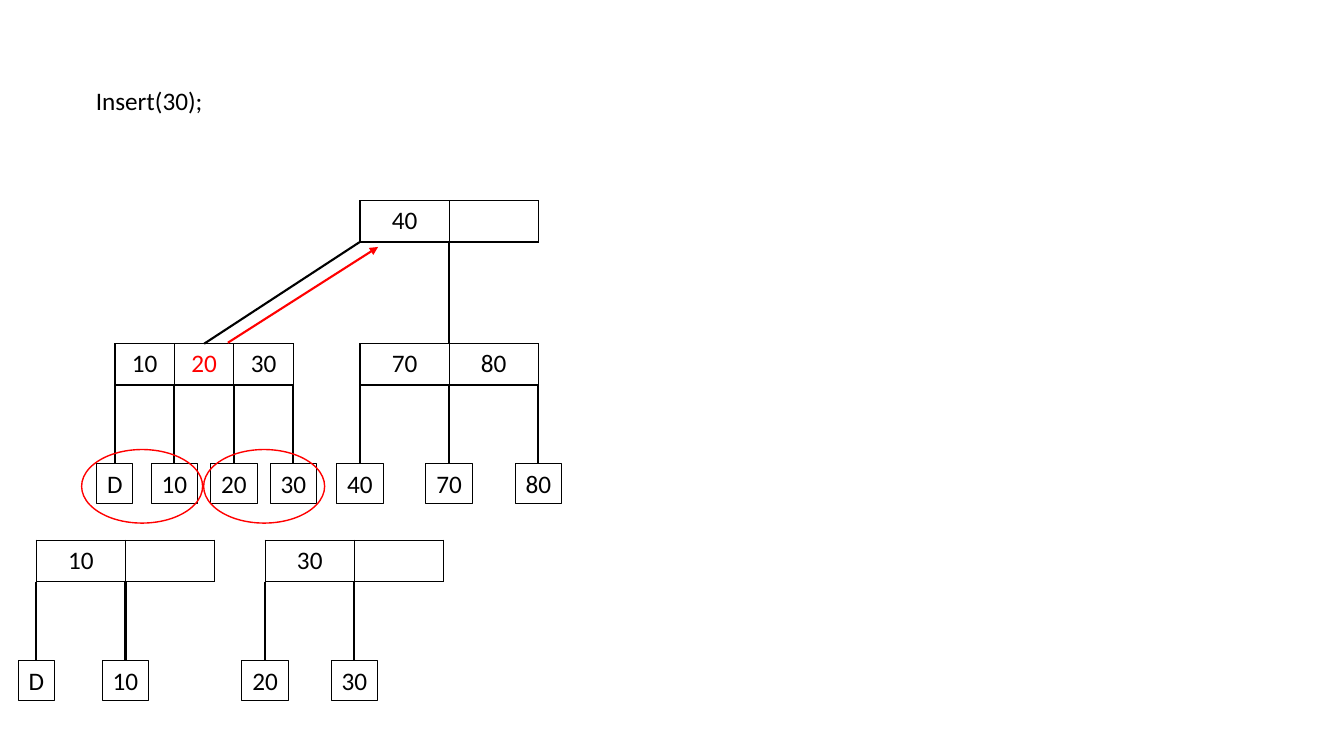
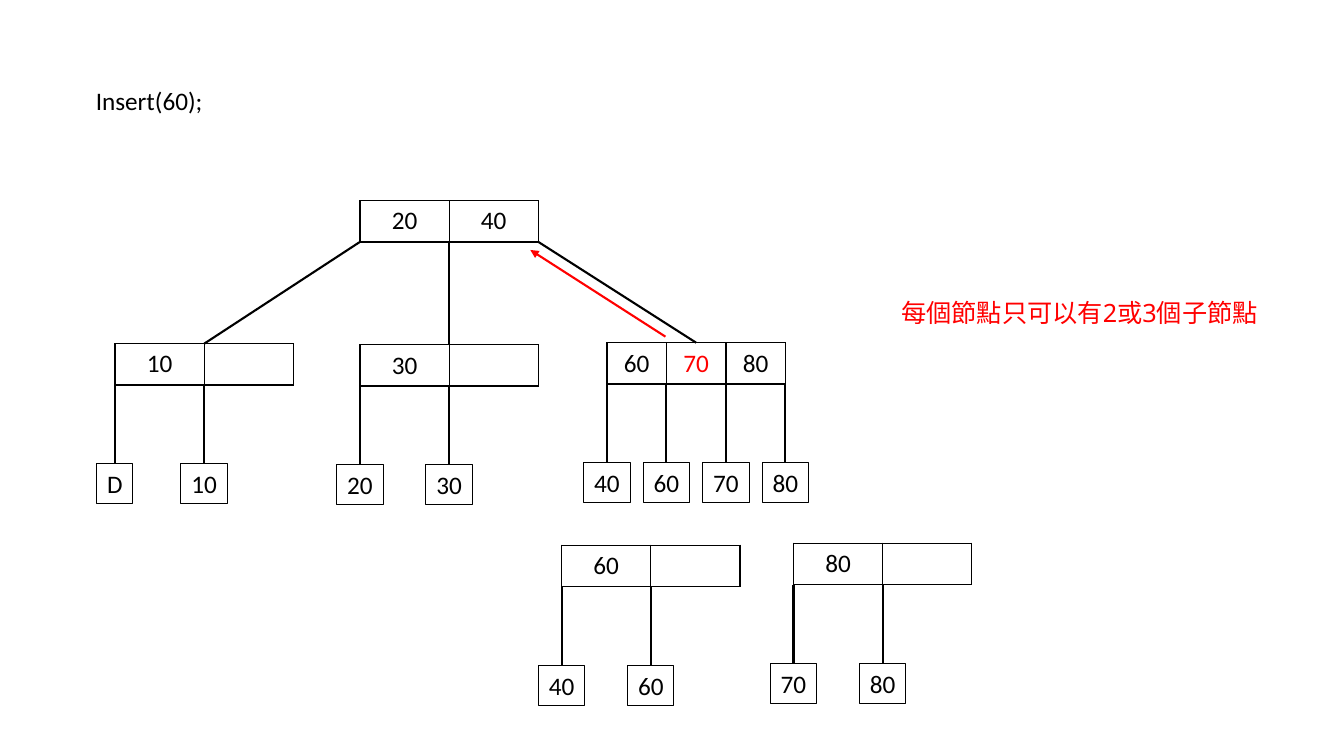
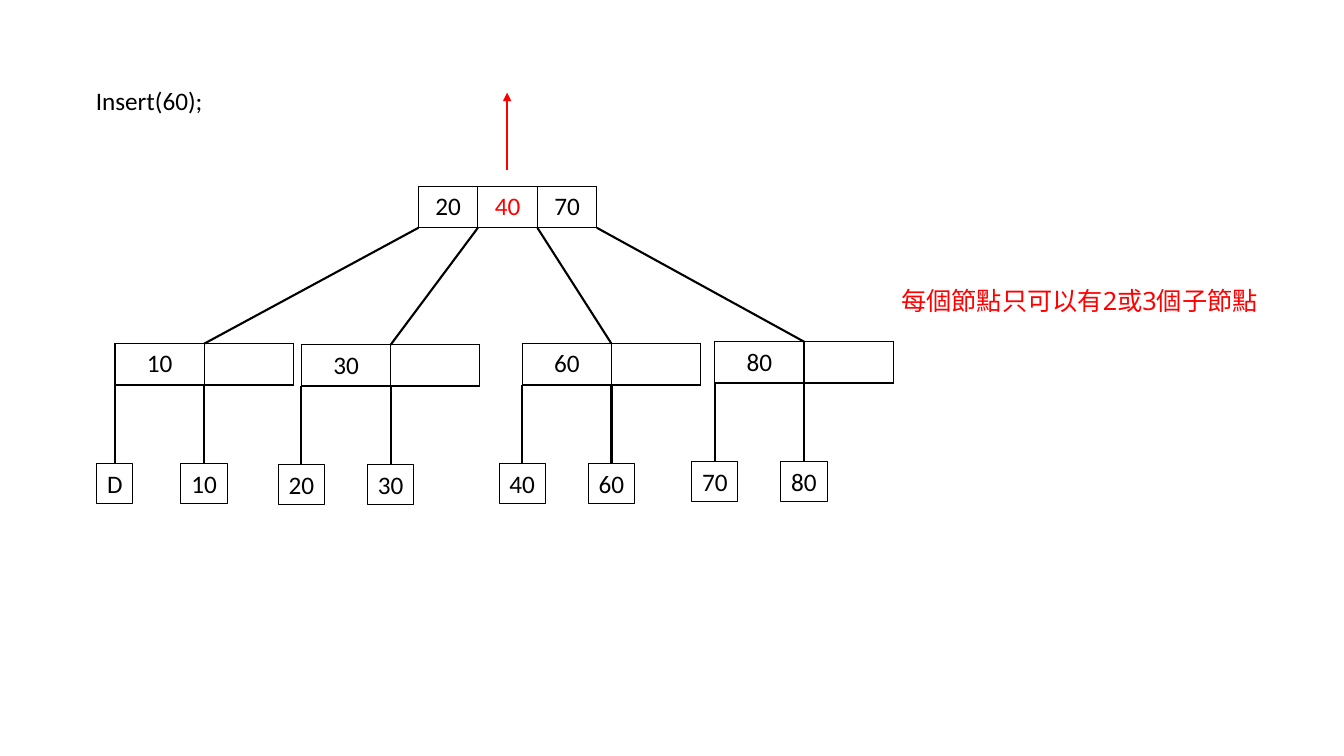
from dataclasses import dataclass

from lxml import etree
from pptx import Presentation
from pptx.dml.color import RGBColor
from pptx.enum import shapes, text
from pptx.oxml import ns
from pptx.util import Inches, Pt

COLORS = {"ink": "000000", "accent": "FF0000"}
FONT = "Calibri"
NOTE_FONT = "Noto Sans"
TEXT_SIZE = 18
NOTE = "每個節點只可以有2或3個子節點"

NODE_WIDTH, NODE_HEIGHT = 1.77, 0.41
LEAF_DROP = 1.19  # from the top of a node to the top of its leaves
LEAF_HEIGHT = 0.4


def color(name):
    return RGBColor.from_string(COLORS[name])


def box(left, top, width, height):
    return [Inches(length) for length in (left, top, width, height)]


def write(frame, words, color_name="ink", font=FONT, align=text.PP_ALIGN.CENTER):
    frame.text = words
    paragraph = frame.paragraphs[0]
    paragraph.alignment = align
    paragraph.font.name = font
    paragraph.font.size = Pt(TEXT_SIZE)
    paragraph.font.color.rgb = color(color_name)


@dataclass
class Node:
    left: float
    top: float
    keys: list
    leaves: list

    @property
    def columns(self):
        return max(2, len(self.keys))

    @property
    def bottom(self):
        return self.top + NODE_HEIGHT

    @property
    def center(self):
        return self.left + NODE_WIDTH / 2

    def edge(self, index):
        """Horizontal place of the cell edge where child number index hangs."""
        return self.left + NODE_WIDTH * index / self.columns


def add_line(slide, start, end, color_name="ink", arrow=False):
    points = [Inches(length) for length in (*start, *end)]
    line = slide.shapes.add_connector(shapes.MSO_CONNECTOR.STRAIGHT, *points)
    line.line.color.rgb = color(color_name)
    line.line.width = Pt(1.5)
    properties = line._element.spPr
    etree.SubElement(properties, ns.qn("a:effectLst"))
    if arrow:
        outline = properties.find(ns.qn("a:ln"))
        etree.SubElement(outline, ns.qn("a:tailEnd"), type="triangle")


def add_outline(slide, kind, bounds, color_name, width):
    shape = slide.shapes.add_shape(kind, *box(*bounds))
    shape.shadow.inherit = False
    shape.fill.background()
    shape.line.color.rgb = color(color_name)
    shape.line.width = Pt(width)
    return shape


def add_leaf(slide, center, top, label):
    width = 0.36 if label == "D" else 0.46
    bounds = (center - width / 2, top, width, LEAF_HEIGHT)
    leaf = add_outline(slide, shapes.MSO_SHAPE.RECTANGLE, bounds, "ink", 0.75)
    leaf.text_frame.word_wrap = False
    write(leaf.text_frame, label)


def set_borders(cell):
    properties = cell._tc.get_or_add_tcPr()
    for position, side in enumerate(("lnL", "lnR", "lnT", "lnB")):
        border = etree.Element(ns.qn(f"a:{side}"), w=str(Pt(1)))
        fill = etree.SubElement(border, ns.qn("a:solidFill"))
        etree.SubElement(fill, ns.qn("a:srgbClr"), val=COLORS["ink"])
        properties.insert(position, border)


def add_node(slide, node):
    """Draw the keys as a table, with the leaves hanging from its cell edges."""
    bounds = box(node.left, node.top, NODE_WIDTH, NODE_HEIGHT)
    table = slide.shapes.add_table(1, node.columns, *bounds).table
    table.first_row = table.horz_banding = False
    overfull = len(node.keys) > 2
    for index in range(node.columns):
        table.columns[index].width = Inches(NODE_WIDTH / node.columns)
        cell = table.cell(0, index)
        cell.fill.background()
        cell.vertical_anchor = text.MSO_ANCHOR.MIDDLE
        set_borders(cell)
        key = node.keys[index] if index < len(node.keys) else ""
        write(cell.text_frame, key, "accent" if overfull and index == 1 else "ink")

    leaf_top = node.top + LEAF_DROP
    for index, label in enumerate(node.leaves):
        center = node.edge(index)
        add_line(slide, (center, node.bottom), (center, leaf_top))
        add_leaf(slide, center, leaf_top, label)


def add_tree(slide, root, children):
    for node in (root, *children):
        add_node(slide, node)
    for index, child in enumerate(children):
        add_line(slide, (root.edge(index), root.bottom), (child.center, child.top))


def add_note(slide, top):
    note = slide.shapes.add_textbox(*box(8.84, top, 4.04, 0.4))
    note.text_frame.word_wrap = True
    write(note.text_frame, NOTE, "accent", NOTE_FONT, text.PP_ALIGN.LEFT)


def add_slide(presentation, title):
    slide = presentation.slides.add_slide(presentation.slide_layouts[5])
    heading = slide.shapes.title
    heading.left, heading.top, heading.width, heading.height = box(0.85, 0.8, 1.27, 0.4)
    frame = heading.text_frame
    frame.auto_size = text.MSO_AUTO_SIZE.NONE
    frame.word_wrap = False
    write(frame, title, align=text.PP_ALIGN.LEFT)
    return slide


def build_insert_30(presentation):
    slide = add_slide(presentation, "Insert(30);")
    add_tree(slide, Node(3.57, 1.99, ["40"], []), [
        Node(1.14, 3.41, ["10", "20", "30"], ["D", "10", "20", "30"]),
        Node(3.57, 3.41, ["70", "80"], ["40", "70", "80"]),
    ])
    add_node(slide, Node(0.36, 5.36, ["10"], ["D", "10"]))
    add_node(slide, Node(2.63, 5.36, ["30"], ["20", "30"]))
    add_line(slide, (2.26, 3.4), (3.75, 2.45), "accent", arrow=True)
    for half in range(2):
        bounds = (0.81 + 1.21 * half, 4.46, 1.2, 0.73)
        add_outline(slide, shapes.MSO_SHAPE.OVAL, bounds, "accent", 1)


def build_insert_60(presentation):
    slide = add_slide(presentation, "Insert(60);")
    add_tree(slide, Node(3.57, 1.99, ["20", "40"], []), [
        Node(1.14, 3.41, ["10"], ["D", "10"]),
        Node(3.57, 3.42, ["30"], ["20", "30"]),
        Node(6.02, 3.4, ["60", "70", "80"], ["40", "60", "70", "80"]),
    ])
    add_node(slide, Node(5.57, 5.41, ["60"], ["40", "60"]))
    add_node(slide, Node(7.87, 5.39, ["80"], ["70", "80"]))
    add_line(slide, (6.6, 3.34), (5.26, 2.48), "accent", arrow=True)
    add_note(slide, 2.9)


def build_root_overflow(presentation):
    slide = add_slide(presentation, "Insert(60);")
    add_tree(slide, Node(4.15, 1.85, ["20", "40", "70"], []), [
        Node(1.14, 3.41, ["10"], ["D", "10"]),
        Node(2.99, 3.42, ["30"], ["20", "30"]),
        Node(5.18, 3.41, ["60"], ["40", "60"]),
        Node(7.09, 3.39, ["80"], ["70", "80"]),
    ])
    add_line(slide, (5.03, 1.69), (5.03, 0.92), "accent", arrow=True)
    add_note(slide, 2.78)


def main():
    presentation = Presentation()
    presentation.slide_width = Inches(13.33)
    presentation.slide_height = Inches(7.5)
    build_insert_30(presentation)
    build_insert_60(presentation)
    build_root_overflow(presentation)
    presentation.save("out.pptx")


if __name__ == "__main__":
    main()
